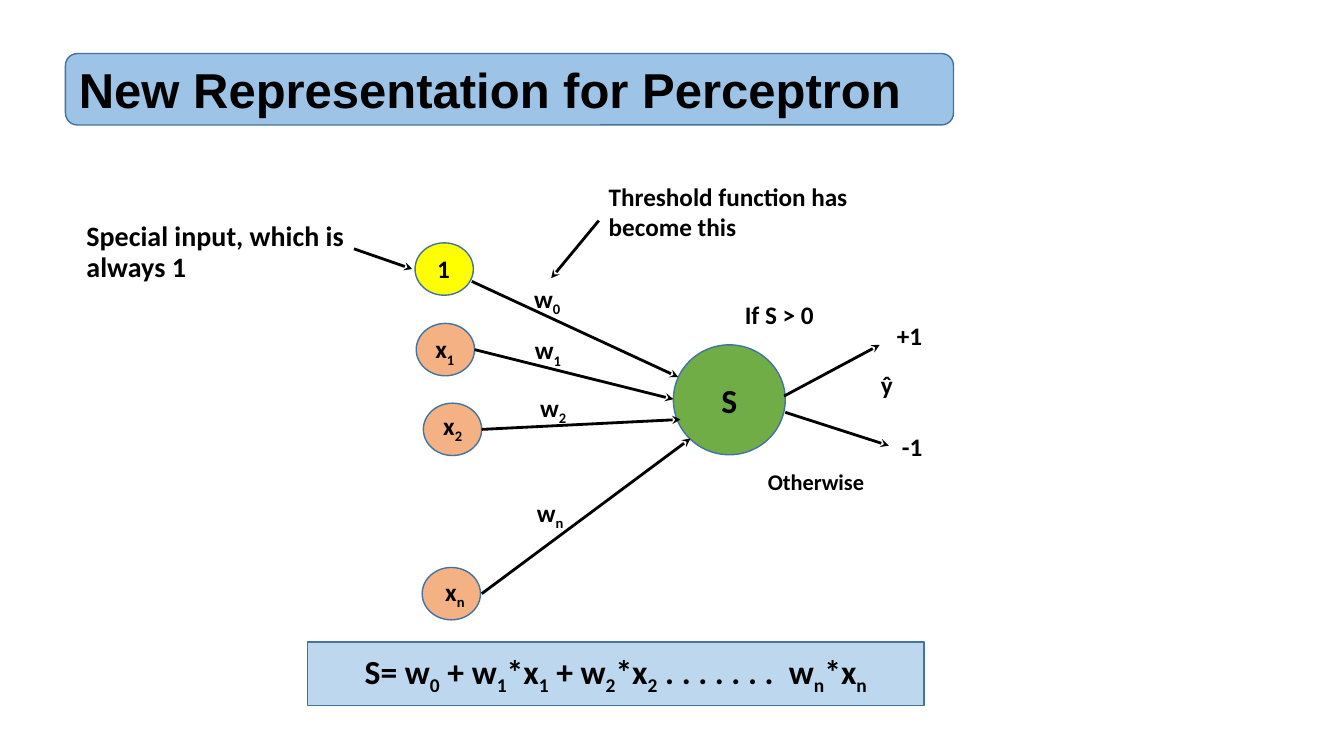
from dataclasses import dataclass

from lxml.etree import SubElement
from pptx import Presentation
from pptx.dml.color import RGBColor as Color
from pptx.enum.shapes import MSO_CONNECTOR as Connector, MSO_SHAPE as Preset
from pptx.enum.text import MSO_ANCHOR as Anchor, PP_ALIGN as Align
from pptx.oxml.ns import qn
from pptx.util import Cm, Pt


@dataclass(frozen=True)
class Theme:
    ink: str = "000000"
    outline: str = "43739E"
    title_fill: str = "9DC3E6"
    formula_fill: str = "BDD7EE"
    bias_fill: str = "FFFF00"
    input_fill: str = "F4B183"
    sum_fill: str = "70AD47"
    title_font: str = "Arial"
    body_font: str = "Calibri"
    title_size: int = 35
    large: int = 24
    note: int = 20
    label: int = 18
    small: int = 16


THEME = Theme()


def write(frame, text, size=THEME.label, font=THEME.body_font,
          align=Align.LEFT, anchor=Anchor.TOP, spacing=None):
    frame.word_wrap = True
    frame.vertical_anchor = anchor
    para = frame.paragraphs[0]
    para.alignment = align
    para.line_spacing = spacing
    first, *rest = text.split("_")
    pieces = [(first, False)]
    for piece in rest:
        pieces += [(piece[0], True), (piece[1:], False)]
    for words, lowered in pieces:
        if not words:
            continue
        span = para.add_run()
        span.text = words
        span.font.name = font
        span.font.size = Pt(size)
        span.font.bold = True
        span.font.color.rgb = Color.from_string(THEME.ink)
        if lowered:
            span._r.get_or_add_rPr().set("baseline", "-25000")


def add_panel(page, preset, left, top, width, height, fill):
    panel = page.shapes.add_shape(preset, Cm(left), Cm(top), Cm(width), Cm(height))
    panel.shadow.inherit = False
    panel.fill.solid()
    panel.fill.fore_color.rgb = Color.from_string(fill)
    panel.line.color.rgb = Color.from_string(THEME.outline)
    panel.line.width = Pt(1)
    return panel


def add_label(page, text, left, top, width, height=1.02, **style):
    box = page.shapes.add_textbox(Cm(left), Cm(top), Cm(width), Cm(height))
    write(box.text_frame, text, **style)


def add_arrow(page, start, end):
    arrow = page.shapes.add_connector(
        Connector.STRAIGHT, *(Cm(length) for length in (*start, *end)))
    arrow.line.color.rgb = Color.from_string(THEME.ink)
    arrow.line.width = Pt(2)
    SubElement(arrow.line._get_or_add_ln(), qn("a:tailEnd"), type="stealth")
    SubElement(arrow._element.spPr, qn("a:effectLst"))


def add_input(page, name, node, label, fill=THEME.input_fill):
    add_panel(page, Preset.OVAL, *node, 1.47, 1.32, fill)
    add_label(page, name, *label, 1.32)


def add_weight(page, name, label, start, end):
    add_arrow(page, start, end)
    add_label(page, name, *label, 1.37)


def add_network(page):
    add_input(page, "1", (10.46, 6.12), (10.77, 6.25), THEME.bias_fill)
    add_input(page, "x_1", (10.49, 8.15), (10.72, 8.28))
    add_input(page, "x_2", (10.67, 10.16), (10.92, 10.21))
    add_input(page, "x_n", (10.64, 14.3), (10.97, 14.4))

    neuron = add_panel(page, Preset.OVAL, 16.97, 8.69, 2.82, 2.77, THEME.sum_fill)
    write(neuron.text_frame, "S", size=THEME.large,
          align=Align.CENTER, anchor=Anchor.MIDDLE)

    add_weight(page, "w_0", (13.21, 7.01), (11.89, 7.09), (17.09, 9.5))
    add_weight(page, "w_1", (13.23, 8.31), (11.96, 8.81), (16.97, 10.06))
    add_weight(page, "w_2", (13.36, 9.75), (12.14, 10.82), (17.15, 10.57))
    add_weight(page, "w_n", (13.28, 12.4), (12.14, 14.96), (17.4, 11.05))


def add_outputs(page):
    add_arrow(page, (19.76, 9.98), (22.17, 8.69))
    add_arrow(page, (19.79, 10.39), (22.4, 11.23))
    add_label(page, "If S > 0", 18.52, 7.42, 3.96)
    add_label(page, "+1", 22.35, 7.95, 1.68)
    add_label(page, "ŷ", 21.95, 9.19, 1.32)
    add_label(page, "-1", 22.48, 10.74, 1.4)
    add_label(page, "Otherwise", 19.1, 11.68, 3.07, 0.94, size=THEME.small)


def add_notes_on_bias(page):
    add_label(page, "Special input, which is always 1", 1.93, 5.49, 8.05, 1.78,
              size=THEME.note, spacing=0.9)
    add_arrow(page, (8.92, 6.27), (10.39, 6.78))
    add_label(page, "Threshold function has become this", 15.09, 4.45, 6.91, 1.8)
    add_arrow(page, (15.09, 5.56), (13.89, 7.01))


def main():
    deck = Presentation()
    deck.slide_width, deck.slide_height = Cm(33.87), Cm(19.05)
    page = deck.slides.add_slide(deck.slide_layouts[6])

    title = add_panel(page, Preset.ROUNDED_RECTANGLE, 1.65, 1.35, 22.38, 1.8,
                      THEME.title_fill)
    write(title.text_frame, "New Representation for Perceptron",
          size=THEME.title_size, font=THEME.title_font, anchor=Anchor.MIDDLE)

    add_network(page)
    add_outputs(page)
    add_notes_on_bias(page)

    formula = add_panel(page, Preset.RECTANGLE, 7.75, 16.18, 15.54, 1.6,
                        THEME.formula_fill)
    write(formula.text_frame, "S= w_0 + w_1*x_1 + w_2*x_2 . . . . . . .  w_n*x_n",
          size=THEME.large, align=Align.CENTER, anchor=Anchor.MIDDLE)

    deck.save("out.pptx")


if __name__ == "__main__":
    main()
